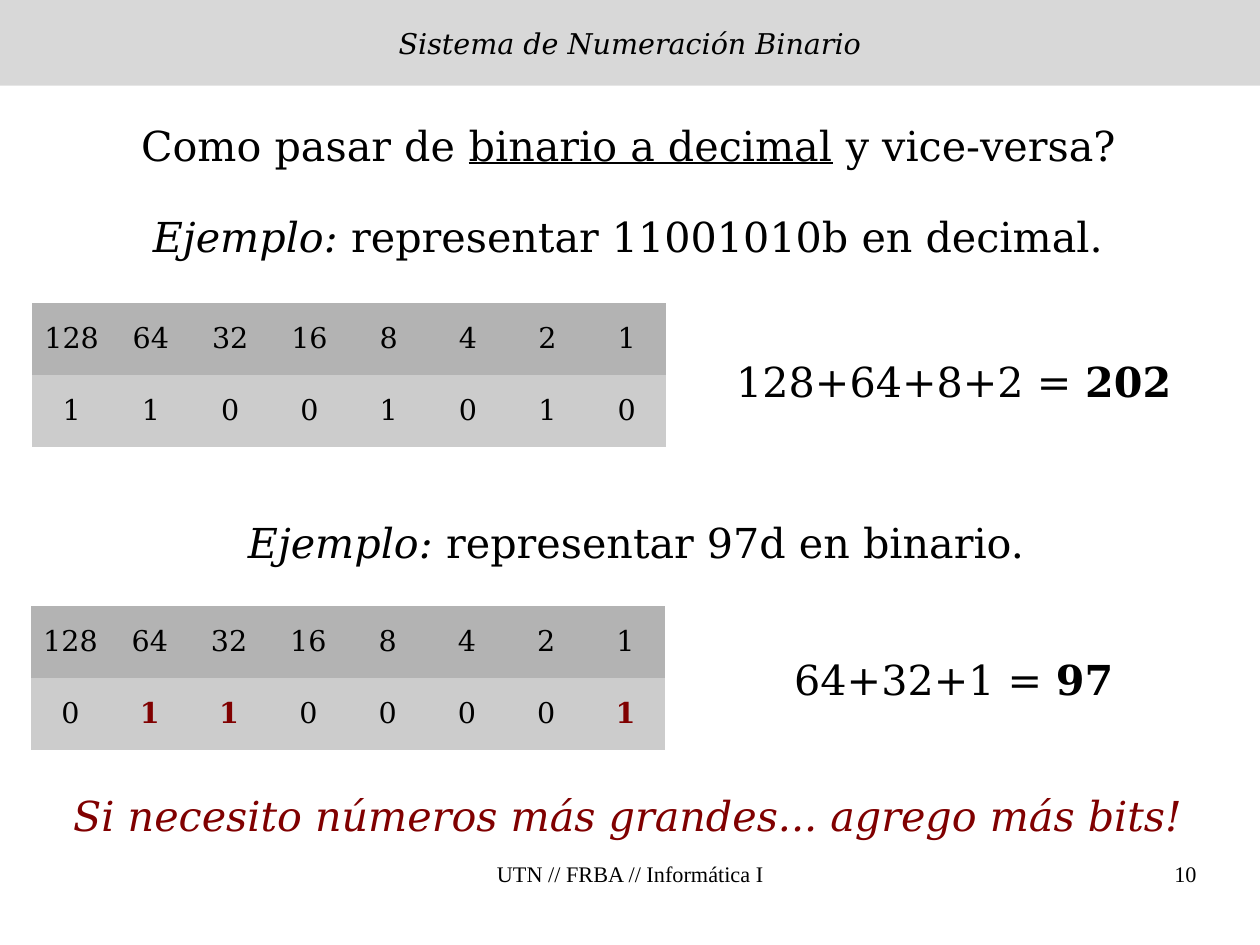
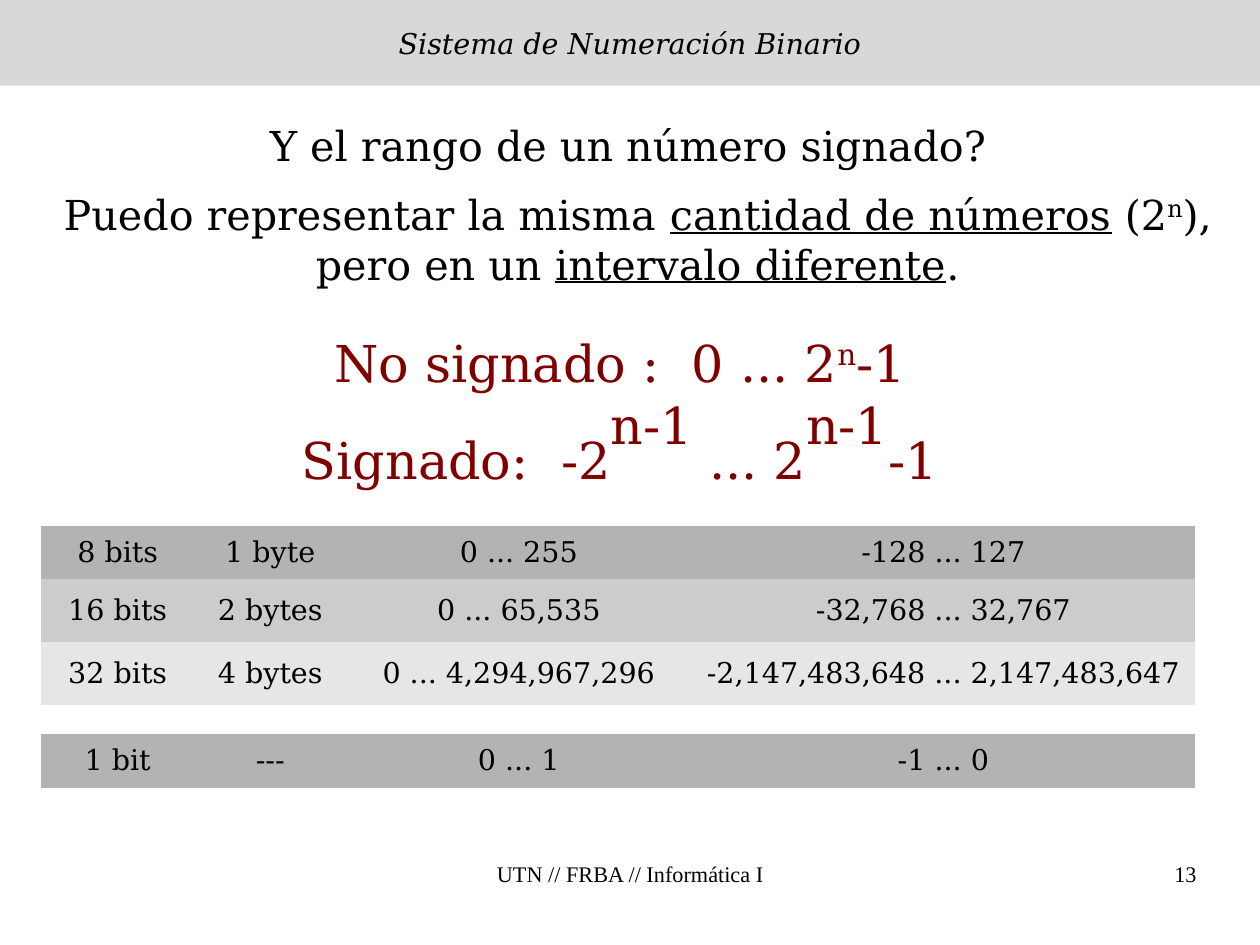
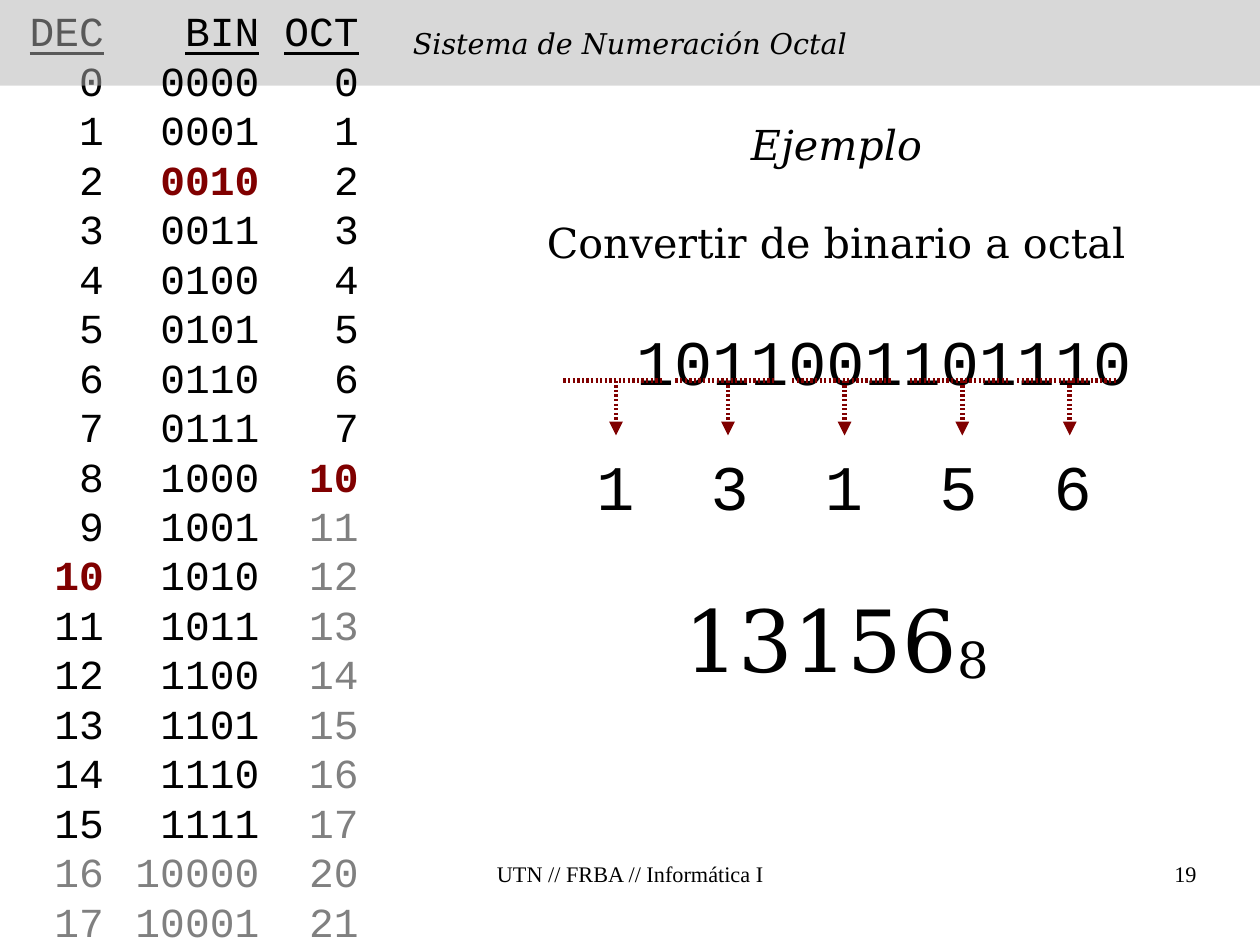
from dataclasses import dataclass

from lxml import etree
from pptx import Presentation
from pptx.dml.color import RGBColor
from pptx.enum.shapes import MSO_CONNECTOR, MSO_SHAPE
from pptx.enum.text import MSO_ANCHOR, PP_ALIGN
from pptx.oxml.ns import qn
from pptx.util import Pt

PX = 9144
BLANK_LAYOUT = 6
CENTER, LEFT, RIGHT = PP_ALIGN.CENTER, PP_ALIGN.LEFT, PP_ALIGN.RIGHT
MIDDLE, TOP = MSO_ANCHOR.MIDDLE, MSO_ANCHOR.TOP
RECTANGLE, STRAIGHT = MSO_SHAPE.RECTANGLE, MSO_CONNECTOR.STRAIGHT
NO_STYLE_TABLE = "{2D5ABB26-0587-4C30-8999-92F81FD0307C}"
SLIDE_WIDTH, SLIDE_HEIGHT = 10080625, 7559675
BAND_HEIGHT = 75
RANGE_COLUMNS = (134, 133, 302, 441)
BIT_WEIGHTS = [str(2 ** power) for power in range(7, -1, -1)]


@dataclass(frozen=True)
class Theme:
    """Colours, fonts and type sizes of the deck."""

    black: str = "000000"
    accent: str = "800000"
    muted: str = "808080"
    grey: str = "B3B3B3"
    row_fills: tuple = ("B3B3B3", "CCCCCC", "E6E6E6")
    serif: str = "DejaVu Serif"
    mono: str = "Courier New"
    footer_font: str = "Times New Roman"
    footer: float = 14
    small: float = 18
    body: float = 26
    formula: float = 32
    digits: float = 40
    result: float = 54
    exponent: float = 55.2


THEME = Theme()


@dataclass(frozen=True)
class Span:
    """A stretch of text in one format."""

    text: str
    size: float = THEME.body
    color: str = THEME.black
    font: str = THEME.serif
    bold: bool = False
    italic: bool = False
    underline: bool = False
    baseline: int = 0
    spacing: int = 0


def px(length):
    """Turn px into EMU."""
    return int(length * PX)


def rgb(color):
    """Make a colour from its hex code."""
    return RGBColor.from_string(color)


def write_para(para, spans, align=CENTER):
    """Fill a paragraph with formatted spans."""
    para.alignment = align
    for span in spans:
        run = para.add_run()
        run.text = span.text
        font = run.font
        font.size, font.name = Pt(span.size), span.font
        font.bold, font.italic, font.underline = span.bold, span.italic, span.underline
        font.color.rgb = rgb(span.color)
        properties = run._r.get_or_add_rPr()
        if span.baseline:
            properties.set("baseline", str(span.baseline * 1000))
        if span.spacing:
            properties.set("spc", str(span.spacing * 100))


def add_text(page, area, paras, align=CENTER, inset=(10, 5)):
    """Add a wrapping text box and return its text frame."""
    box = page.shapes.add_textbox(*map(px, area))
    frame = box.text_frame
    frame.word_wrap = True
    frame.vertical_anchor = TOP
    frame.margin_left = frame.margin_right = px(inset[0])
    frame.margin_top = frame.margin_bottom = px(inset[1])
    for index, spans in enumerate(paras):
        para = frame.add_paragraph() if index else frame.paragraphs[0]
        write_para(para, spans, align)
    return frame


def add_band(page, title):
    """Add the translucent title band."""
    band = page.shapes.add_shape(RECTANGLE, 0, 0, SLIDE_WIDTH, px(BAND_HEIGHT))
    band.shadow.inherit = False
    band.line.fill.background()
    band.fill.solid()
    band.fill.fore_color.rgb = rgb(THEME.grey)
    color = next(band._element.spPr.iter(qn("a:srgbClr")))
    etree.SubElement(color, qn("a:alpha")).set("val", "50000")
    band.text_frame.vertical_anchor = MIDDLE
    write_para(band.text_frame.paragraphs[0], [Span(title, THEME.small, italic=True)])


def add_footer(page, number):
    """Add the course name and the page number."""
    items = (
        ("UTN // FRBA // Informática I", 377, 349, CENTER),
        (str(number), 790, 257, RIGHT),
    )
    for text, left, width, align in items:
        span = Span(text, THEME.footer, font=THEME.footer_font)
        add_text(page, (left, 753, width, 57), [[span]], align, (0, 0))


def add_grid(page, left, top, widths, heights, rows, marked=()):
    """Add a table with one grey per row and marked cells in the accent colour."""
    area = (left, top, sum(widths), sum(heights))
    holder = page.shapes.add_table(len(rows), len(widths), *map(px, area))
    table = holder.table
    next(holder._element.iter(qn("a:tableStyleId"))).text = NO_STYLE_TABLE
    table.first_row = table.horz_banding = False
    for column, width in zip(table.columns, widths):
        column.width = px(width)
    for row_index, texts in enumerate(rows):
        table.rows[row_index].height = px(heights[row_index])
        for column_index, text in enumerate(texts):
            cell = table.cell(row_index, column_index)
            cell.fill.solid()
            cell.fill.fore_color.rgb = rgb(THEME.row_fills[row_index])
            cell.vertical_anchor = MIDDLE
            strong = (row_index, column_index) in marked
            color = THEME.accent if strong else THEME.black
            span = Span(text, THEME.small, color, bold=strong)
            write_para(cell.text_frame.paragraphs[0], [span])


def add_line(page, start, end, arrow=False):
    """Add a finely dotted accent line, with an arrowhead at its end on request."""
    line = page.shapes.add_connector(STRAIGHT, *map(px, start + end))
    line.line.color.rgb = rgb(THEME.accent)
    line.line.width = Pt(2.9)
    outline = line.line._get_or_add_ln()
    dashes = etree.SubElement(outline, qn("a:custDash"))
    etree.SubElement(dashes, qn("a:ds"), d="50000", sp="50000")
    if arrow:
        etree.SubElement(outline, qn("a:tailEnd")).set("type", "triangle")
    etree.SubElement(line._element.spPr, qn("a:effectLst"))


def add_count_column(page, left, width, title, numerals, base, muted_from):
    """Add a column that counts in one base and marks the base itself."""
    paras = [[Span(title, font=THEME.mono, underline=True)]]
    for number, numeral in enumerate(numerals):
        color = THEME.muted if number >= muted_from else THEME.black
        if number == base:
            color = THEME.accent
        paras.append([Span(numeral, color=color, font=THEME.mono, bold=number == base)])
    frame = add_text(page, (left, 5, width, 821), paras, RIGHT, (0, 0))
    for para in frame.paragraphs:
        para.line_spacing = Pt(31.15)


def add_tab_stops(para, step, count):
    """Give a paragraph evenly spaced left tab stops."""
    stops = etree.SubElement(para._p.get_or_add_pPr(), qn("a:tabLst"))
    for index in range(1, count + 1):
        etree.SubElement(stops, qn("a:tab"), pos=str(px(step * index)), algn="l")


def add_conversion_example(page, left, top, task, grid_left, grid_top, bits, marked, sum_top, terms, total):
    """Add an example with its bit table and its sum."""
    add_text(page, (left, top, 1050, 52), [[Span("Ejemplo:", italic=True), Span(task)]])
    add_grid(page, grid_left, grid_top, [69.38] * 8, [63] * 2, [BIT_WEIGHTS, bits], marked)
    add_text(page, (599, sum_top, 471, 52), [[Span(terms), Span(total, bold=True)]])


def build_decimal_page(page):
    """Build the slide on binary and decimal."""
    add_band(page, "Sistema de Numeración Binario")
    question = [Span("Como pasar de "), Span("binario a decimal", underline=True), Span(" y vice-versa?")]
    add_text(page, (25, 100, 1050, 52), [question])
    add_conversion_example(page, 25, 180, " representar 11001010b en decimal.", 28, 265,
                           "11001010", (), 307, "128+64+8+2 = ", "202")
    add_conversion_example(page, 32, 448, " representar 97d en binario.", 27, 530,
                           "01100001", ((1, 1), (1, 2), (1, 7)), 567, "64+32+1 = ", "97")
    closing = Span("Si necesito números más grandes... agrego más bits!", color=THEME.accent, italic=True)
    add_text(page, (25, 686, 1050, 52), [[closing]])
    add_footer(page, 10)


def formula(text, **style):
    """Make a span of a range formula."""
    return Span(text, **{"size": THEME.formula, "color": THEME.accent, **style})


def build_range_page(page):
    """Build the slide on signed ranges."""
    add_band(page, "Sistema de Numeración Binario")
    add_text(page, (25, 100, 1050, 52), [[Span("Y el rango de un número signado?")]])
    answer = [
        Span("Puedo representar la misma "), Span("cantidad de números", underline=True),
        Span(" (2"), Span("n", baseline=33), Span("), pero en un "),
        Span("intervalo diferente", underline=True), Span("."),
    ]
    add_text(page, (33, 161, 1050, 95), [answer])
    gap = formula(" ", spacing=10)
    power = formula("n-1", size=THEME.exponent, baseline=41)
    unsigned = [formula("No signado :"), gap, formula("0 ... 2"), formula("n", baseline=33), formula("-1")]
    signed = [formula("Signado:"), gap, formula("-2"), power, formula(" ... 2"), power, formula("-1")]
    add_text(page, (116, 285, 853, 133), [unsigned, signed])
    ranges = (
        ("8 bits", "1 byte", "0 ... 255", "-128 ... 127"),
        ("16 bits", "2 bytes", "0 ... 65,535", "-32,768 ... 32,767"),
        ("32 bits", "4 bytes", "0 ... 4,294,967,296", "-2,147,483,648 ... 2,147,483,647"),
    )
    add_grid(page, 36, 460, RANGE_COLUMNS, (47, 55, 55), ranges)
    add_grid(page, 36, 642, RANGE_COLUMNS, (47,), [("1 bit", "---", "0 ... 1", "-1 ... 0")])
    add_footer(page, 13)


def build_octal_page(page):
    """Build the slide on binary and octal."""
    numbers = range(18)
    add_count_column(page, 25, 66, "DEC", [str(n) for n in numbers], 10, 16)
    add_band(page, "Sistema de Numeración Octal")
    add_count_column(page, 102, 125, "BIN", [f"{n:04b}" for n in numbers], 2, 16)
    add_count_column(page, 248, 66, "OCT", [f"{n:o}" for n in numbers], 8, 9)
    task = [[Span("Ejemplo", italic=True)], [Span("Convertir de binario a octal")]]
    frame = add_text(page, (411, 99, 642, 136), task)
    frame.paragraphs[1].space_before = Pt(31)
    binary = Span("1011001101110", THEME.digits, font=THEME.mono)
    add_text(page, (484, 277, 578, 77), [[binary]])
    add_text(page, (411, 508, 642, 121),
             [[Span("13156", THEME.result), Span("8", THEME.result, baseline=-8)]])
    for center in (539, 637, 739, 842, 936):
        add_line(page, (center - 46, 333), (center + 42, 333))
        add_line(page, (center, 333), (center, 381), arrow=True)
    octal = Span("\t".join("13156"), THEME.digits, font=THEME.mono)
    frame = add_text(page, (512, 386, 516, 77), [[octal]], LEFT)
    add_tab_stops(frame.paragraphs[0], 100, 4)
    add_footer(page, 19)


def main():
    """Build and save the deck."""
    deck = Presentation()
    deck.slide_width, deck.slide_height = SLIDE_WIDTH, SLIDE_HEIGHT
    for build_page in (build_decimal_page, build_range_page, build_octal_page):
        build_page(deck.slides.add_slide(deck.slide_layouts[BLANK_LAYOUT]))
    deck.save("out.pptx")


if __name__ == "__main__":
    main()
